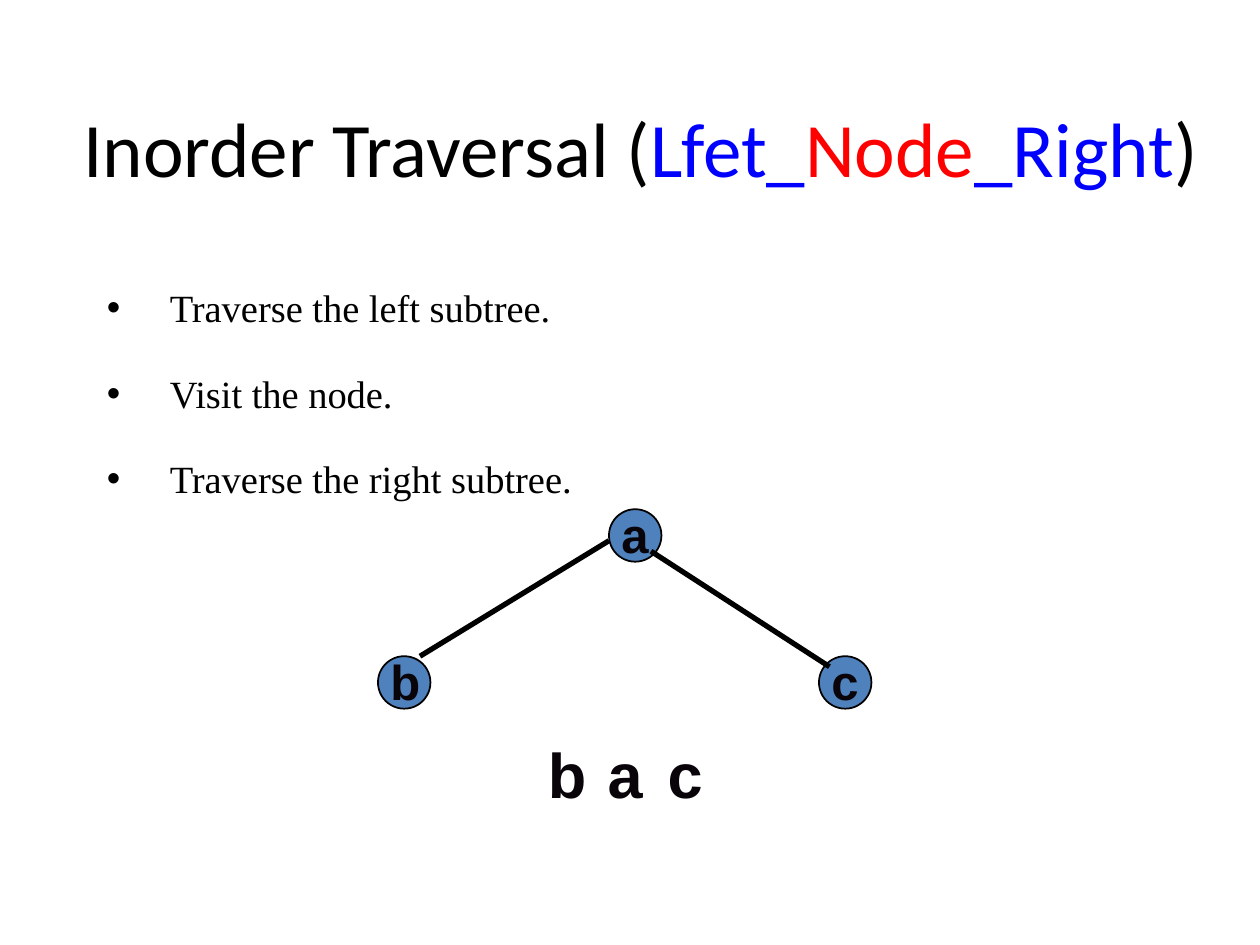
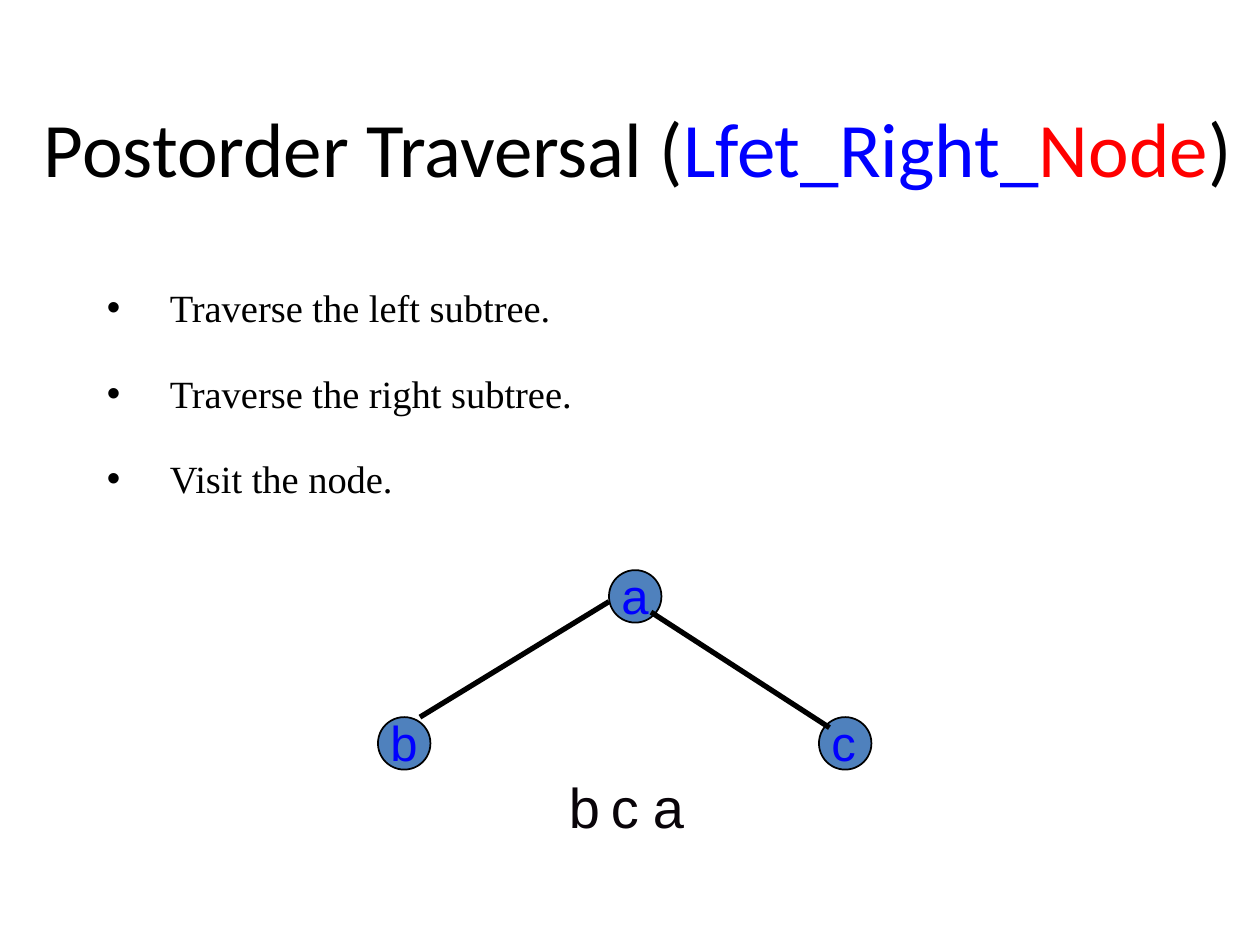
from dataclasses import dataclass

from lxml import etree
from pptx import Presentation
from pptx import util as u
from pptx.dml.color import RGBColor
from pptx.enum import shapes, text
from pptx.oxml import ns

PX = 7620  # EMU per px, 120 px to the inch


@dataclass(frozen=True)
class Theme:
    black: RGBColor = RGBColor(0, 0, 0)
    ink: RGBColor = RGBColor(0x09, 0x04, 0x09)
    blue: RGBColor = RGBColor(0, 0, 0xFF)
    red: RGBColor = RGBColor(0xFF, 0, 0)
    node: RGBColor = RGBColor(0x4F, 0x81, 0xBD)
    title_font: str = "Calibri"
    body_font: str = "Times New Roman"
    tree_font: str = "Arial"
    title_size: int = 44
    body_size: int = 22
    label_size: int = 28


theme = Theme()

# Tree geometry, with tops measured from the top of the root
NODE_SIZE = 50
NODES = {"c": (780, 140), "b": (360, 140), "a": (580, 0)}
EDGES = [(580, 30, 400, 140), (620, 40, 790, 150)]

# What differs from slide to slide
SLIDES = [
    dict(
        title=[("Inorder Traversal (", theme.black), ("Lfet_", theme.blue),
               ("Node", theme.red), ("_Right", theme.blue), (")", theme.black)],
        title_box=(40, 50, 1140, 180), title_align=text.PP_ALIGN.CENTER,
        steps=["Traverse the left subtree.", "Visit the node.", "Traverse the right subtree."],
        tree_top=485, label_color=theme.ink, bold=True,
        order="bac", order_box=(510, 695, 170, 85), order_step=57, order_size=36,
    ),
    dict(
        title=[("Postorder Traversal (", theme.black), ("Lfet_Right_", theme.blue),
               ("Node", theme.red), (")", theme.black)],
        title_box=(30, 50, 1170, 180), title_align=text.PP_ALIGN.LEFT,
        steps=["Traverse the left subtree.", "Traverse the right subtree.", "Visit the node."],
        tree_top=543, label_color=theme.blue, bold=False,
        order="bca", order_box=(530, 730, 50, 77), order_step=40, order_size=32,
    ),
]


def style(span, font, size, color, bold=False):
    span.font.name = font
    span.font.size = u.Pt(size)
    span.font.color.rgb = color
    span.font.bold = bold


def add_letter(parent, letter, bounds, size, color, bold):
    box = parent.shapes.add_textbox(*[n * PX for n in bounds])
    frame = box.text_frame
    frame.word_wrap = True
    frame.auto_size = text.MSO_AUTO_SIZE.SHAPE_TO_FIT_TEXT
    frame.text = letter
    para = frame.paragraphs[0]
    style(para.runs[0], theme.tree_font, size, color, bold)
    before = etree.SubElement(para._p.get_or_add_pPr(), ns.qn("a:spcBef"))
    etree.SubElement(before, ns.qn("a:spcPct")).set("val", "50000")


deck = Presentation()
deck.slide_width, deck.slide_height = 1200 * PX, 900 * PX

for content in SLIDES:
    page = deck.slides.add_slide(deck.slide_layouts[6])
    top = content["tree_top"]

    # Tree: nodes, edges, then labels
    tree = page.shapes.add_group_shape()
    for x, y in NODES.values():
        node = tree.shapes.add_shape(shapes.MSO_SHAPE.OVAL, x * PX, (top + y) * PX,
                                     NODE_SIZE * PX, NODE_SIZE * PX)
        node.shadow.inherit = False
        node.fill.solid()
        node.fill.fore_color.rgb = theme.node
        node.line.color.rgb = theme.black
        node.line.width = u.Pt(1)
    for x1, y1, x2, y2 in EDGES:
        edge = tree.shapes.add_connector(shapes.MSO_CONNECTOR.STRAIGHT, x1 * PX, (top + y1) * PX,
                                         x2 * PX, (top + y2) * PX)
        edge.line.color.rgb = theme.black
        edge.line.width = u.Pt(3)
        etree.SubElement(edge._element.spPr, ns.qn("a:effectLst"))
    for letter, (x, y) in NODES.items():
        add_letter(tree, letter, (x, top + y - 10, 100, 68),
                   theme.label_size, content["label_color"], content["bold"])

    # Visiting order
    left, order_top, width, height = content["order_box"]
    for i, letter in enumerate(content["order"]):
        add_letter(page, letter, (left + i * content["order_step"], order_top, width, height),
                   content["order_size"], theme.ink, content["bold"])

    # Title
    box = page.shapes.add_textbox(*[n * PX for n in content["title_box"]])
    box.text_frame.word_wrap = True
    box.text_frame.vertical_anchor = text.MSO_ANCHOR.MIDDLE
    para = box.text_frame.paragraphs[0]
    para.alignment = content["title_align"]
    for words, color in content["title"]:
        span = para.add_run()
        span.text = words
        style(span, theme.title_font, theme.title_size, color)

    # Steps
    box = page.shapes.add_textbox(90 * PX, 260 * PX, 1020 * PX, 220 * PX)
    box.text_frame.word_wrap = True
    box.text_frame.text = "\n".join(content["steps"])
    for para in box.text_frame.paragraphs:
        para.space_before = u.Pt(20)
        para.line_spacing = 1.1
        style(para.runs[0], theme.body_font, theme.body_size, theme.black)
        props = para._p.get_or_add_pPr()
        props.set("marL", str(60 * PX))
        props.set("indent", str(-60 * PX))
        etree.SubElement(props, ns.qn("a:buFont")).set("typeface", theme.tree_font)
        etree.SubElement(props, ns.qn("a:buChar")).set("char", "•")

deck.save("out.pptx")
